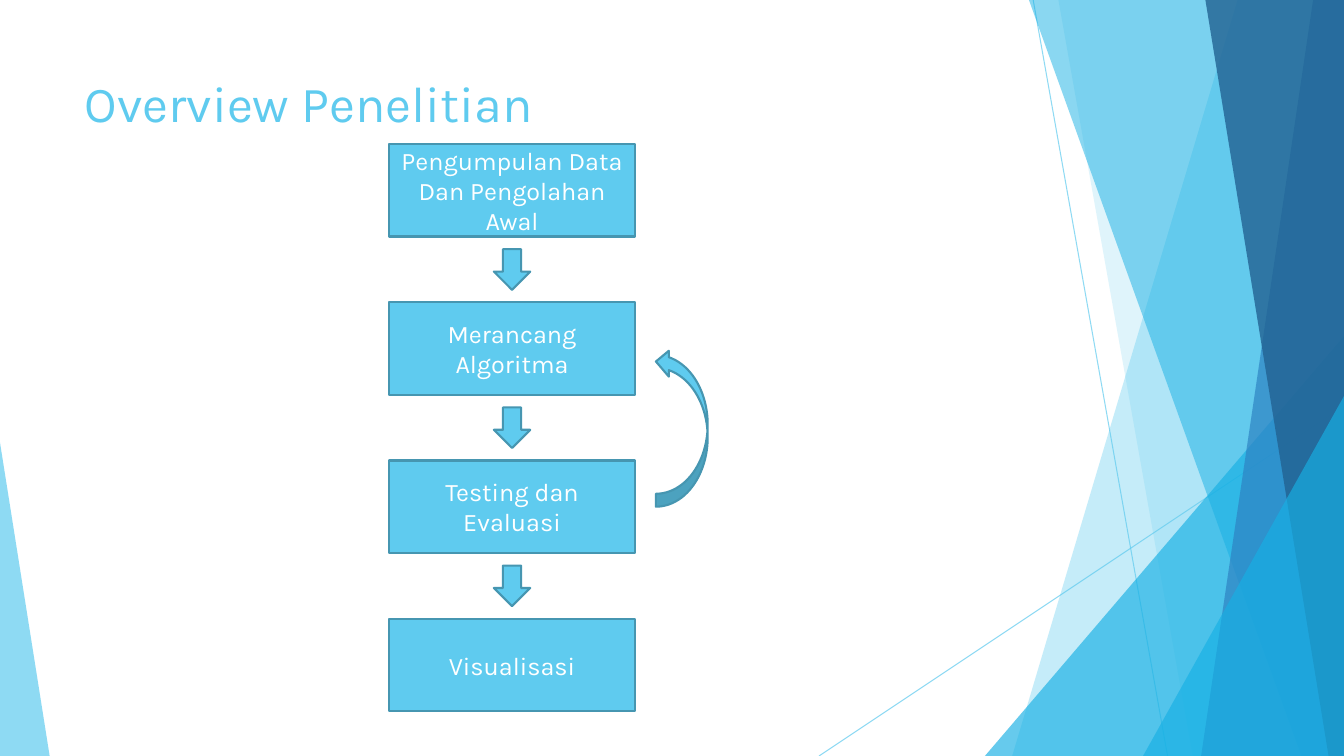
import pptx
import pptx.util
import pptx.dml.color
import pptx.enum.shapes
import pptx.enum.text
import pptx.oxml
import pptx.oxml.ns

Pt = pptx.util.Pt
Kind = pptx.enum.shapes.MSO_SHAPE
Align = pptx.enum.text.PP_ALIGN
Anchor = pptx.enum.text.MSO_ANCHOR
WIDE, HIGH = 960, 540


def tint(fill, code, alpha=100):
    fill.solid()
    fill.fore_color.rgb = pptx.dml.color.RGBColor.from_string(code)
    if alpha < 100:
        node = fill._xPr.find(".//" + pptx.oxml.ns.qn("a:srgbClr"))
        mark = pptx.oxml.parse_xml(
            f'<a:alpha {pptx.oxml.ns.nsdecls("a")} val="{alpha * 1000}"/>')
        node.append(mark)


class Deck:
    font = "Karla"
    sky, deep, edge, white = "5FCBEF", "17B0E4", "4696B1", "FFFFFF"

    def __init__(self):
        self.deck = pptx.Presentation()
        self.deck.slide_width, self.deck.slide_height = Pt(WIDE), Pt(HIGH)
        self.slide = self.deck.slides.add_slide(self.deck.slide_layouts[5])
        self.shapes = self.slide.shapes
        tint(self.slide.background.fill, self.white)

    def label(self, shape, text, size, code, align, anchor):
        frame = shape.text_frame
        frame.word_wrap = True
        frame.auto_size = pptx.enum.text.MSO_AUTO_SIZE.NONE
        frame.vertical_anchor = anchor
        para = frame.paragraphs[0]
        para.alignment = align
        run = para.add_run()
        run.text = text
        run.font.name, run.font.size = self.font, Pt(size)
        tint(run.font.fill, code)

    def title(self, text, x, y, w, h):
        head = self.shapes.title
        head.left, head.top, head.width, head.height = map(Pt, (x, y, w, h))
        self.label(head, text, 36, self.sky, Align.LEFT, Anchor.TOP)

    def ray(self, *ends):
        line = self.shapes.add_connector(
            pptx.enum.shapes.MSO_CONNECTOR.STRAIGHT, *map(Pt, ends))
        line.line.width = Pt(0.75)
        tint(line.line.fill, self.sky, 70)
        line._element.spPr.append(pptx.oxml.parse_xml(
            f'<a:effectLst {pptx.oxml.ns.nsdecls("a")}/>'))

    def plain(self, shape, code, alpha):
        shape.shadow.inherit = False
        tint(shape.fill, code, alpha)
        shape.line.fill.background()

    def band(self, top, foot, code, alpha):
        pen = self.shapes.build_freeform(Pt(top), 0)
        pen.add_line_segments(
            [(Pt(x), Pt(y)) for x, y in ((WIDE, 0), (WIDE, HIGH), (foot, HIGH))])
        self.plain(pen.convert_to_shape(), code, alpha)

    def wedge(self, x, y, w, peak, code, alpha):
        shape = self.shapes.add_shape(
            Kind.ISOSCELES_TRIANGLE, Pt(x), Pt(y), Pt(w), Pt(HIGH - y))
        shape.adjustments[0] = peak
        self.plain(shape, code, alpha)

    def block(self, kind, x, y, w, h, text=""):
        shape = self.shapes.add_shape(kind, Pt(x), Pt(y), Pt(w), Pt(h))
        shape.shadow.inherit = False
        tint(shape.fill, self.sky)
        tint(shape.line.fill, self.edge)
        shape.line.width = Pt(1.5)
        if text:
            self.label(shape, text, 18, self.white, Align.CENTER, Anchor.MIDDLE)
        return shape


def main():
    deck = Deck()
    deck.ray(738, 0, 834, HIGH)
    deck.ray(WIDE, 290, 585, HIGH)
    deck.band(884, 723, deck.sky, 36)
    deck.band(756, 852, deck.sky, 20)
    deck.wedge(703.5, 240, 256.5, 1, deck.deep, 66)
    deck.band(735, 929.5, deck.deep, 50)
    deck.band(938, 858, "2E83C3", 70)
    deck.band(861, 949, "226292", 80)
    deck.wedge(816.5, 283, 143.5, 1, deck.deep, 66)
    deck.wedge(0, 316, 35.5, 0, deck.sky, 70)
    deck.title("Overview Penelitian", 53.5, 48, 677, 104)

    steps = ["Pengumpulan Data Dan Pengolahan Awal", "Merancang Algoritma",
             "Testing dan Evaluasi", "Visualisasi"]
    left, top, wide, high, pitch = 278, 103, 175.5, 66, 113
    for i, step in enumerate(steps):
        y = top + i * pitch
        deck.block(Kind.RECTANGLE, left, y, wide, high, step)
        if i < len(steps) - 1:
            deck.block(Kind.DOWN_ARROW, left + (wide - 26) / 2, y + 75, 26, 29)
    loop = deck.block(Kind.CURVED_LEFT_ARROW, 468.5, 249, 37, 113)
    loop._element.spPr.xfrm.set("flipV", "1")
    deck.deck.save("out.pptx")


if __name__ == "__main__":
    main()
